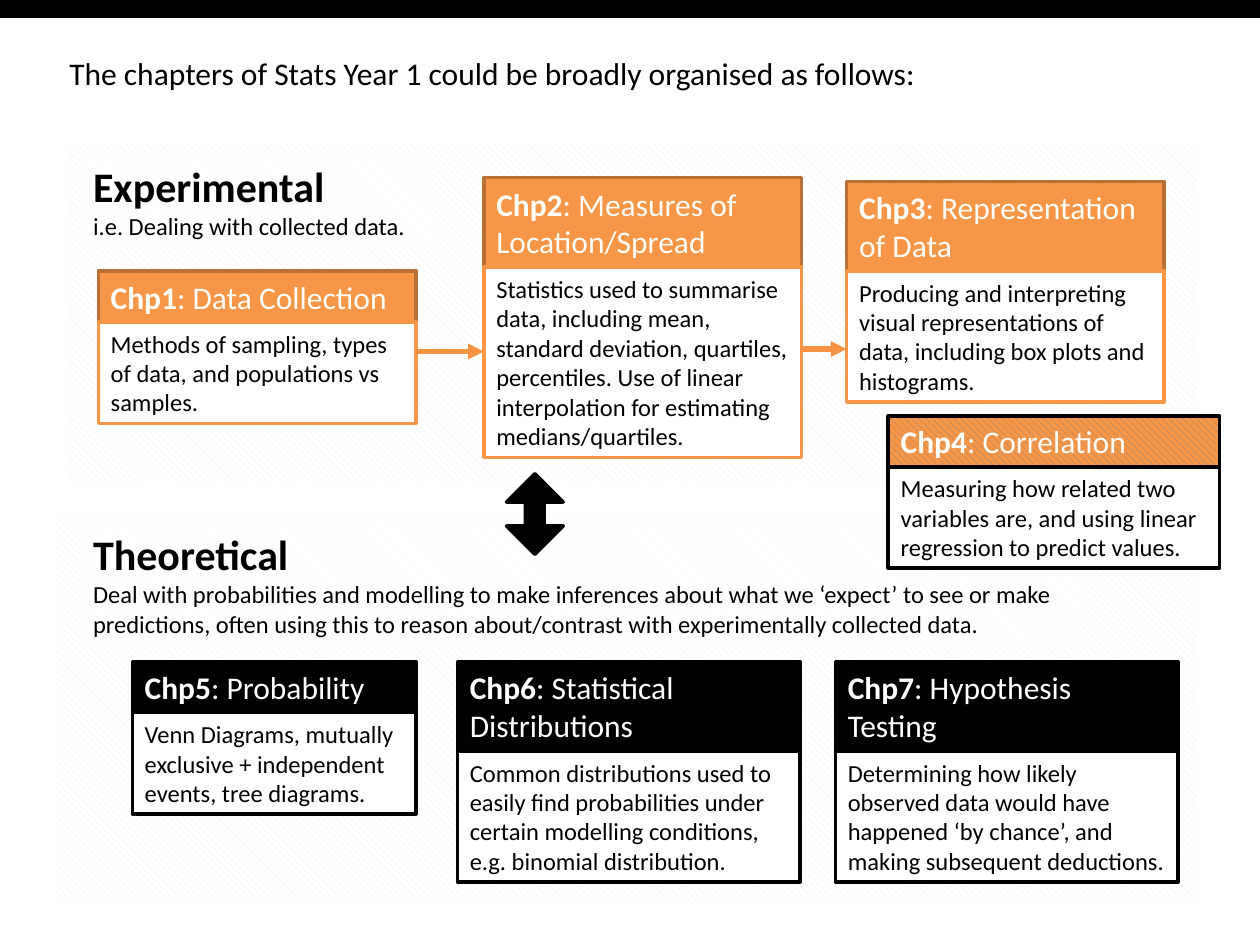
"""Build a slide that organises the Stats Year 1 chapters into experimental and theoretical groups."""
import pptx
import pptx.util
import pptx.dml.color
import pptx.enum.dml
import pptx.enum.shapes
import pptx.enum.text
import pptx.oxml
import pptx.oxml.ns
from pptx.util import Inches

FONT = "Calibri"
BLACK, WHITE, ORANGE, BROWN = "000000", "FFFFFF", "F79646", "B76F34"
ARROW_ORANGE, CREAM, GREY = "F69240", "EEECE1", "808080"
HEADING = "The chapters of Stats Year 1 could be broadly organised as follows:"

SECTIONS = [
    ("Experimental", "i.e. Dealing with collected data.",
     (0.55, 1.14, 8.95, 2.68), (0.64, 1.22, 2.8, 0.74)),
    ("Theoretical",
     "Deal with probabilities and modelling to make inferences about what we ‘expect’ to see or make "
     "predictions, often using this to reason about/contrast with experimentally collected data.",
     (0.45, 4.11, 9.05, 3.04), (0.64, 4.14, 7.96, 0.98)),
]

STYLES = {
    "experimental": (ORANGE, None, BROWN, ORANGE),
    "theoretical": (BLACK, None, BLACK, BLACK),
    "both": (GREY, ORANGE, BLACK, BLACK),
}

CHAPTERS = [
    ("Chp1", "Data Collection", "Methods of sampling, types of data, and populations vs samples.",
     "experimental", 0.78, 2.15, 2.52, 1, 3),
    ("Chp2", "Measures of Location/Spread",
     "Statistics used to summarise data, including mean, standard deviation, quartiles, percentiles. "
     "Use of linear interpolation for estimating medians/quartiles.",
     "experimental", 3.84, 1.41, 2.52, 2, 6),
    ("Chp3", "Representation of Data",
     "Producing and interpreting visual representations of data, including box plots and histograms.",
     "experimental", 6.72, 1.44, 2.52, 2, 4),
    ("Chp5", "Probability", "Venn Diagrams, mutually exclusive + independent events, tree diagrams.",
     "theoretical", 1.05, 5.25, 2.25, 1, 3),
    ("Chp6", "Statistical Distributions",
     "Common distributions used to easily find probabilities under certain modelling conditions, "
     "e.g. binomial distribution.",
     "theoretical", 3.63, 5.25, 2.72, 2, 4),
    ("Chp7", "Hypothesis Testing",
     "Determining how likely observed data would have happened ‘by chance’, and making subsequent "
     "deductions.",
     "theoretical", 6.63, 5.25, 2.72, 2, 4),
    ("Chp4", "Correlation",
     "Measuring how related two variables are, and using linear regression to predict values.",
     "both", 7.05, 3.3, 2.63, 1, 3),
]

ARROWS = [(3.31, 3.84, 2.79), (6.37, 6.72, 2.77)]


def rgb(value):
    return pptx.dml.color.RGBColor.from_string(value)


def element(xml):
    return pptx.oxml.parse_xml(xml.replace("/>", f" {pptx.oxml.ns.nsdecls('a')}/>"))


def add_block(slide, box, fill, pattern_back=None, line=None, preset="RECTANGLE"):
    kind = getattr(pptx.enum.shapes.MSO_SHAPE, preset)
    block = slide.shapes.add_shape(kind, *map(Inches, box))
    block.shadow.inherit = False
    if pattern_back:
        block.fill.patterned()
        block.fill.pattern = pptx.enum.dml.MSO_PATTERN.WIDE_DOWNWARD_DIAGONAL
        block.fill.back_color.rgb = rgb(pattern_back)
    else:
        block.fill.solid()
    block.fill.fore_color.rgb = rgb(fill)
    if line:
        block.line.color.rgb = rgb(line)
        block.line.width = pptx.util.Pt(2)
    else:
        block.line.fill.background()
    return block


def write(shape, paragraphs, color):
    frame = shape.text_frame
    frame.word_wrap = True
    frame.vertical_anchor = pptx.enum.text.MSO_ANCHOR.MIDDLE
    frame.auto_size = pptx.enum.text.MSO_AUTO_SIZE.SHAPE_TO_FIT_TEXT
    for index, runs in enumerate(paragraphs):
        paragraph = frame.add_paragraph() if index else frame.paragraphs[0]
        paragraph.alignment = pptx.enum.text.PP_ALIGN.LEFT
        for text, size, bold in runs:
            run = paragraph.add_run()
            run.text = text
            run.font.name = FONT
            run.font.size = pptx.util.Pt(size)
            run.font.bold = bold
            run.font.color.rgb = rgb(color)


def add_section(slide, name, description, panel, label):
    add_block(slide, panel, CREAM, WHITE)
    caption = add_block(slide, label, WHITE)
    color = caption._element.spPr.find(".//" + pptx.oxml.ns.qn("a:srgbClr"))
    color.append(element('<a:alpha val="72000"/>'))
    write(caption, [[(name, 24, True)], [(description, 14, False)]], BLACK)


def add_chapter(slide, number, name, summary, style, left, top, width, name_lines, summary_lines):
    fill, pattern_back, name_line, summary_line = STYLES[style]
    name_height = 0.1 + 0.305 * name_lines
    summary_height = 0.1 + 0.235 * summary_lines
    header = add_block(slide, (left, top, width, name_height), fill, pattern_back, name_line)
    write(header, [[(number, 18, True), (f": {name}", 18, False)]], WHITE)
    body = add_block(slide, (left, top + name_height, width, summary_height), WHITE, line=summary_line)
    write(body, [[(summary, 14, False)]], BLACK)


def add_arrow(slide, start, end, y):
    arrow = slide.shapes.add_connector(
        pptx.enum.shapes.MSO_CONNECTOR.STRAIGHT, Inches(start), Inches(y), Inches(end), Inches(y))
    arrow.line.color.rgb = rgb(ARROW_ORANGE)
    arrow.line.width = pptx.util.Pt(3)
    arrow.line._get_or_add_ln().append(element('<a:tailEnd type="triangle"/>'))
    arrow._element.spPr.append(element("<a:effectLst/>"))


def main():
    deck = pptx.Presentation()
    deck.slide_width, deck.slide_height = Inches(10), Inches(7.5)
    slide = deck.slides.add_slide(deck.slide_layouts[5])
    title = slide.shapes.title
    title.left, title.top, title.width, title.height = map(Inches, (0.45, 0.38, 8.9, 0.4))
    write(title, [[(HEADING, 18, False)]], BLACK)
    for section in SECTIONS:
        add_section(slide, *section)
    exchange = add_block(slide, (4.02, 3.76, 0.45, 0.64), BLACK, line=BLACK, preset="UP_DOWN_ARROW")
    exchange.adjustments[0], exchange.adjustments[1] = 0.5, 0.33
    for chapter in CHAPTERS:
        add_chapter(slide, *chapter)
    for arrow in ARROWS:
        add_arrow(slide, *arrow)
    add_block(slide, (0, 0, 10, 0.13), BLACK, line=BLACK)
    deck.save("out.pptx")


if __name__ == "__main__":
    main()
